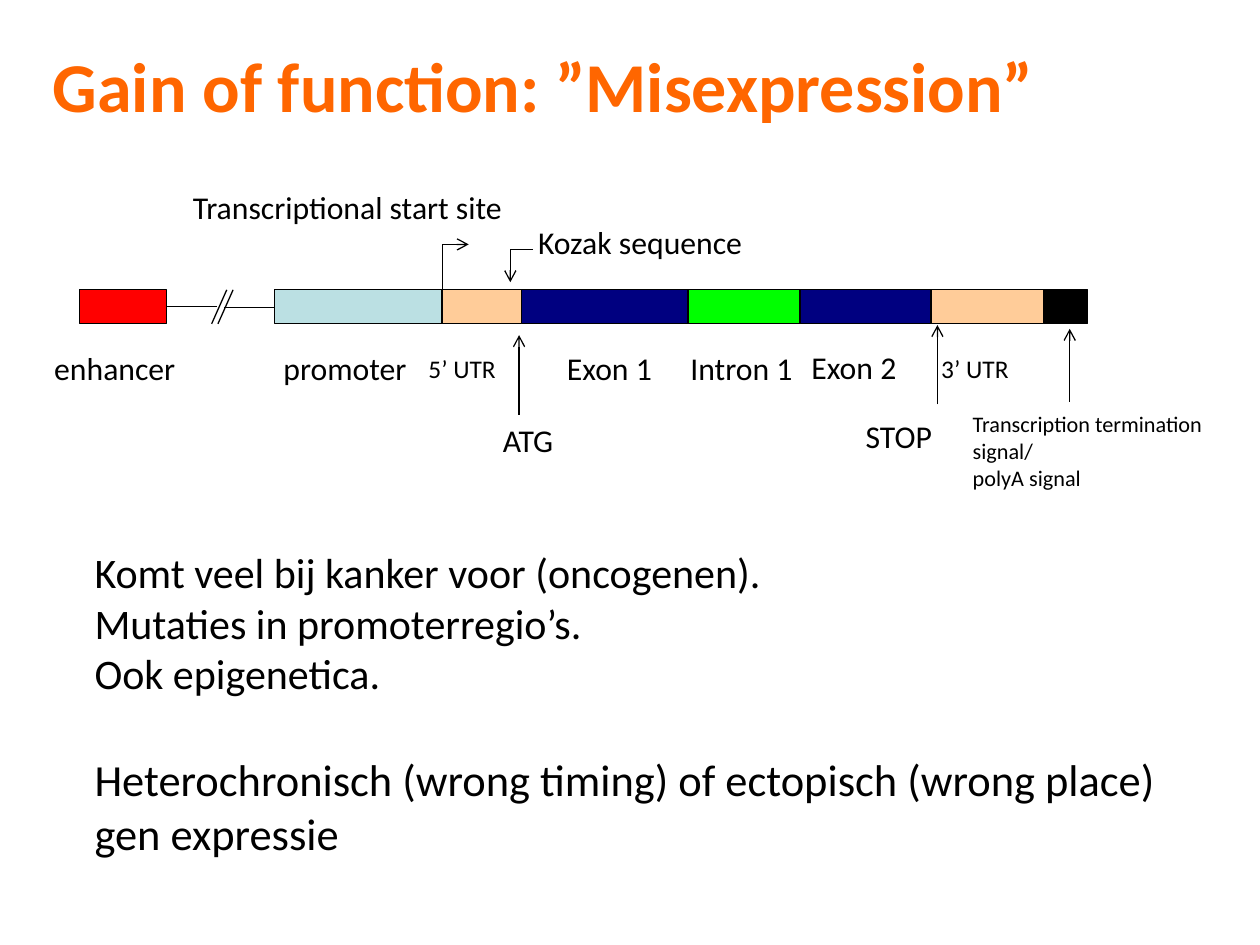
from dataclasses import dataclass

import pptx
import pptx.dml.color
import pptx.enum.shapes
import pptx.enum.text
import pptx.oxml
import pptx.oxml.ns
import pptx.util
from pptx.util import Inches


@dataclass(frozen=True)
class Theme:
    font: str = "Calibri"
    ink: str = "000000"
    title: str = "FF6600"
    enhancer: str = "FF0000"
    promoter: str = "BBE0E3"
    untranslated: str = "FFCC99"
    exon: str = "000080"
    intron: str = "00FF00"
    title_size: float = 40
    remark_size: float = 24
    conclusion_size: float = 25.4
    label_size: float = 18.1
    region_size: float = 14.5
    note_size: float = 12.7
    line_width: float = 0.75


@dataclass(frozen=True)
class Box:
    left: float
    top: float
    width: float
    height: float

    def inside(self, left, top, width, height):
        return Box(self.left + left, self.top + top, width, height)

    def lengths(self):
        return [Inches(value) for value in (self.left, self.top, self.width, self.height)]


THEME = Theme()


def rgb(value):
    return pptx.dml.color.RGBColor.from_string(value)


def append_element(parent, tag, **attributes):
    element = pptx.oxml.parse_xml(f"<{tag} {pptx.oxml.ns.nsdecls('a')}/>")
    for name, value in attributes.items():
        element.set(name, value)
    parent.append(element)


def write_text(shape, lines, size, color=THEME.ink, bold=False, wrap=True, inset=0.05):
    frame = shape.text_frame
    frame.text = "\n".join(lines)
    frame.word_wrap = wrap
    frame.auto_size = pptx.enum.text.MSO_AUTO_SIZE.NONE
    frame.vertical_anchor = pptx.enum.text.MSO_ANCHOR.TOP
    frame.margin_left = frame.margin_right = Inches(0.09)
    frame.margin_top = frame.margin_bottom = Inches(inset)
    for paragraph in frame.paragraphs:
        if shape.is_placeholder:
            properties = paragraph._p.get_or_add_pPr()
            properties.set("marL", "0")
            properties.set("indent", "0")
            append_element(properties, "a:buNone")
        paragraph.alignment = pptx.enum.text.PP_ALIGN.LEFT
        paragraph.space_before = pptx.util.Pt(0)
        paragraph.font.name = THEME.font
        paragraph.font.size = pptx.util.Pt(size)
        paragraph.font.bold = bold
        paragraph.font.color.rgb = rgb(color)


def fill_placeholder(placeholder, box, lines, size, **style):
    placeholder.left, placeholder.top, placeholder.width, placeholder.height = box.lengths()
    write_text(placeholder, lines, size, inset=0.04, **style)


def add_label(slide, box, lines, size, wrap=False):
    write_text(slide.shapes.add_textbox(*box.lengths()), lines, size, wrap=wrap)


def add_line(slide, box, start, end, arrow=False):
    points = [Inches(value) for x, y in (start, end) for value in (box.left + x, box.top + y)]
    connector = slide.shapes.add_connector(pptx.enum.shapes.MSO_CONNECTOR.STRAIGHT, *points)
    connector.line.color.rgb = rgb(THEME.ink)
    connector.line.width = pptx.util.Pt(THEME.line_width)
    if arrow:
        append_element(connector.line._get_or_add_ln(), "a:tailEnd", type="arrow")
    append_element(connector._element.spPr, "a:effectLst")


def add_gene_bar(slide, box):
    segments = [
        (0, 0.69, THEME.enhancer),
        (1.55, 1.33, THEME.promoter),
        (2.88, 0.63, THEME.untranslated),
        (3.51, 1.32, THEME.exon),
        (4.82, 0.9, THEME.intron),
        (5.7, 1.06, THEME.exon),
        (6.76, 0.89, THEME.untranslated),
        (7.65, 0.35, THEME.ink),
    ]
    for left, width, color in reversed(segments):
        segment = slide.shapes.add_shape(
            pptx.enum.shapes.MSO_SHAPE.RECTANGLE,
            *box.inside(left, 0, width, box.height).lengths())
        segment.shadow.inherit = False
        segment.fill.solid()
        segment.fill.fore_color.rgb = rgb(color)
        segment.line.color.rgb = rgb(THEME.ink)
        segment.line.width = pptx.util.Pt(THEME.line_width)

    add_line(slide, box, (0.69, 0.13), (1.09, 0.13))
    add_line(slide, box, (1.15, 0.14), (1.55, 0.14))
    for slash in (1.05, 1.1):
        add_line(slide, box, (slash + 0.12, 0), (slash, 0.27))


def add_gene_markers(slide, box):
    add_line(slide, box, (2.88, 0.06), (2.88, -0.36))
    add_line(slide, box, (2.88, -0.36), (3.09, -0.36), arrow=True)
    add_line(slide, box, (3.42, -0.32), (3.6, -0.32))
    add_line(slide, box, (3.42, -0.32), (3.42, -0.06), arrow=True)
    for x, bottom, top in [(3.49, 0.99, 0.36), (6.81, 0.91, 0.28), (7.86, 0.89, 0.31)]:
        add_line(slide, box, (x, bottom), (x, top), arrow=True)


def add_gene_labels(slide, box):
    labels = [
        ("Transcriptional start site", 0.81, -0.86, 2.65),
        ("Kozak sequence", 3.55, -0.58, 1.81),
        ("enhancer", -0.29, 0.42, 1.15),
        ("promoter", 1.53, 0.42, 1.16),
        ("Exon 1", 3.78, 0.42, 0.86),
        ("Intron 1", 4.76, 0.42, 1),
        ("Exon 2", 5.72, 0.41, 0.86),
        ("ATG", 3.27, 0.99, 0.58),
        ("STOP", 6.15, 0.96, 0.71),
    ]
    for text, left, top, width in labels:
        add_label(slide, box.inside(left, top, width, 0.4), [text], THEME.label_size)
    for text, left in [("5’ UTR", 2.68), ("3’ UTR", 6.75)]:
        add_label(slide, box.inside(left, 0.45, 0.72, 0.34), [text], THEME.region_size)
    add_label(slide, box.inside(7, 0.91, 2.2, 0.75),
              ["Transcription termination signal/", "polyA signal"],
              THEME.note_size, wrap=True)


def add_gene_diagram(slide, box):
    add_gene_bar(slide, box)
    add_gene_markers(slide, box)
    add_gene_labels(slide, box)


def main():
    presentation = pptx.Presentation()
    presentation.slide_width = Inches(10)
    presentation.slide_height = Inches(7.5)
    slide = presentation.slides.add_slide(presentation.slide_layouts.get_by_name("Two Content"))
    title, remarks, conclusion = slide.placeholders

    fill_placeholder(title, Box(0.33, 0.3, 8.81, 0.77), ["Gain of function: ”Misexpression”"],
                     THEME.title_size, color=THEME.title, bold=True)
    add_gene_diagram(slide, Box(0.63, 2.3, 8, 0.27))
    fill_placeholder(remarks, Box(0.66, 4.3, 8.48, 1.32),
                     ["Komt veel bij kanker voor (oncogenen).",
                      "Mutaties in promoterregio’s.",
                      "Ook epigenetica."], THEME.remark_size)
    fill_placeholder(conclusion, Box(0.66, 5.93, 8.72, 0.96),
                     ["Heterochronisch (wrong timing) of ectopisch (wrong place) gen expressie"],
                     THEME.conclusion_size)
    presentation.save("out.pptx")


if __name__ == "__main__":
    main()
